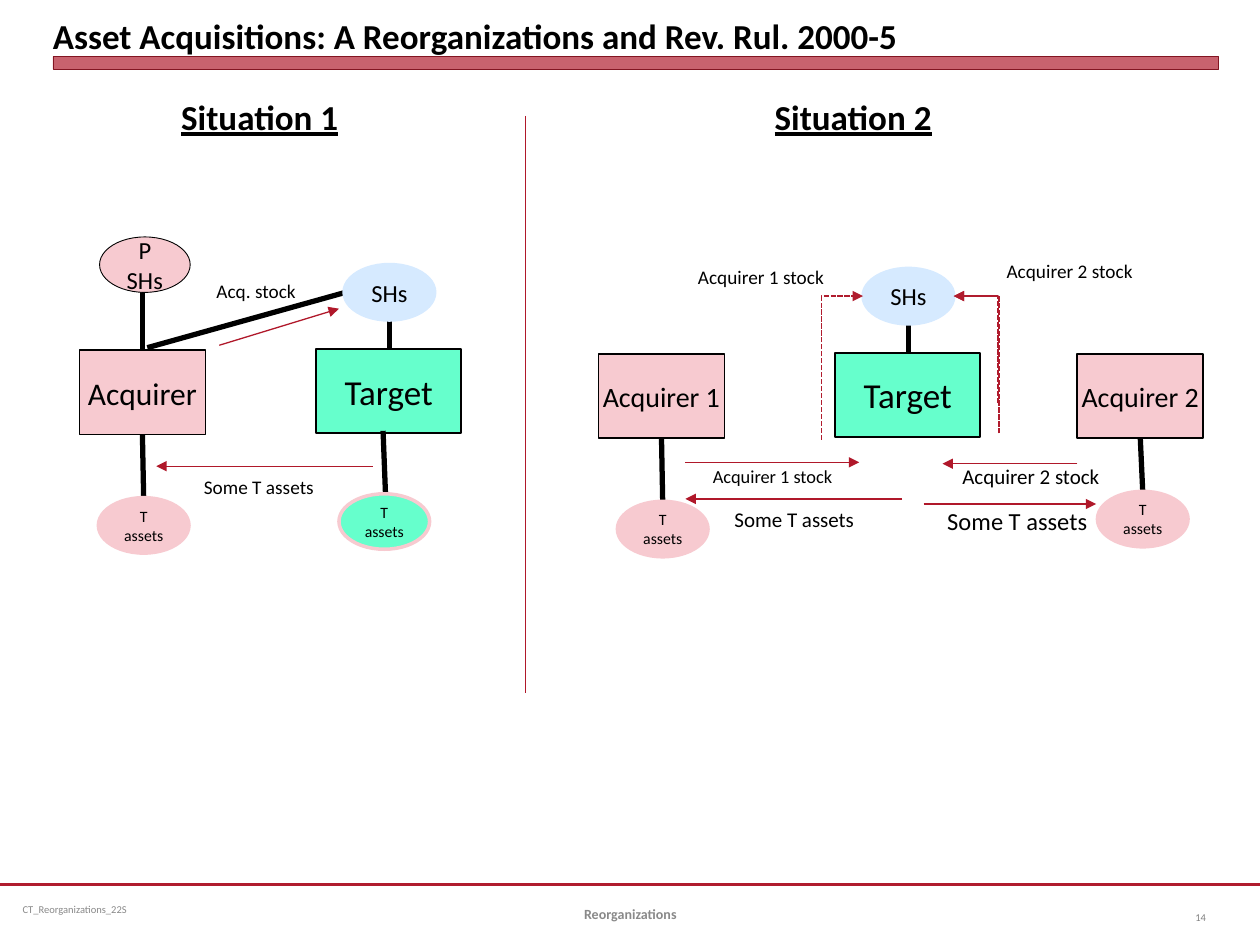
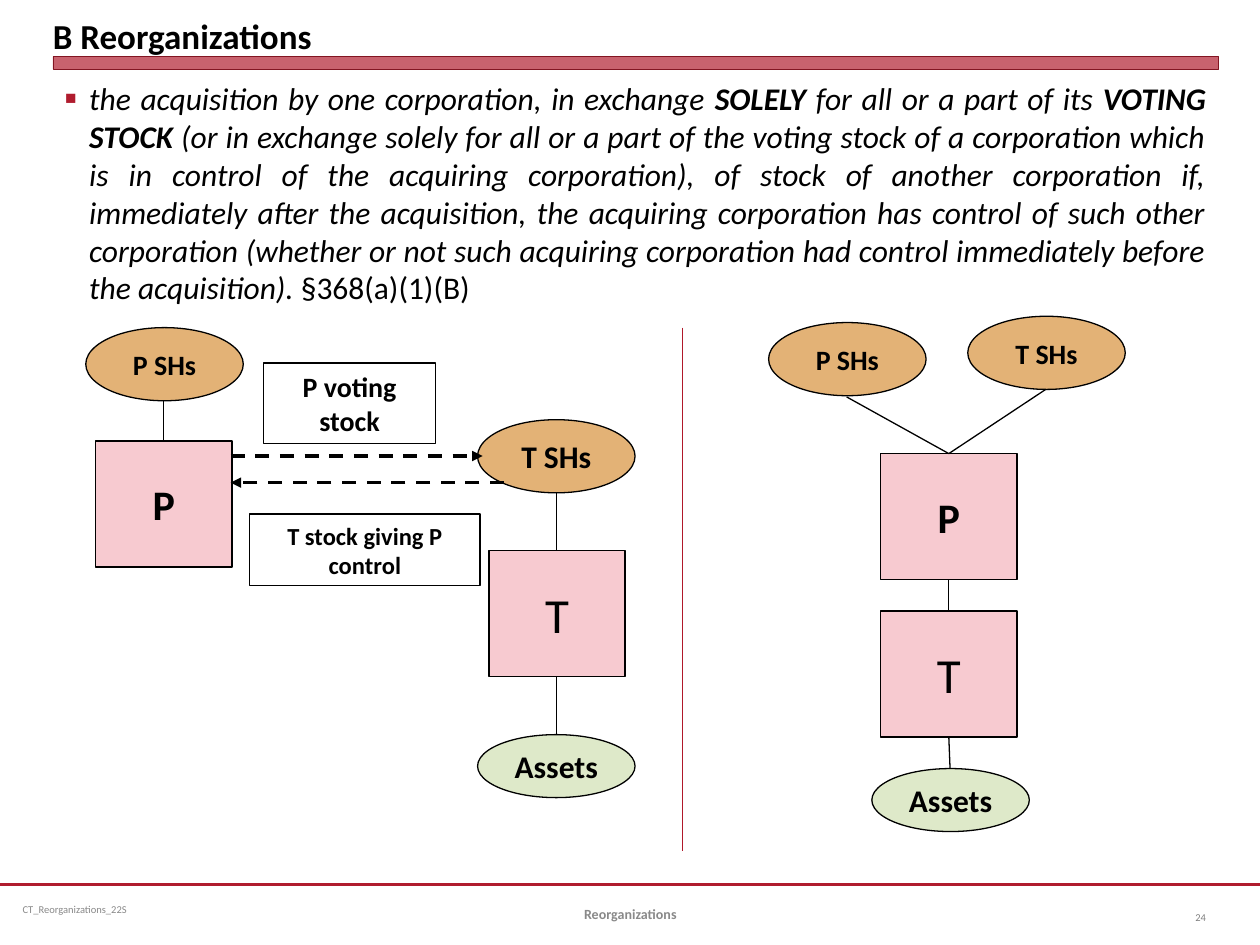
from dataclasses import dataclass

from lxml.etree import SubElement
from pptx import Presentation
from pptx.dml.color import RGBColor
from pptx.enum.dml import MSO_LINE
from pptx.enum.shapes import MSO_CONNECTOR, MSO_SHAPE
from pptx.enum.text import MSO_ANCHOR, PP_ALIGN
from pptx.oxml.ns import qn
from pptx.util import Pt

COLORS = {
    "black": "000000", "rule": "B01C2E", "arrow": "B0182A", "band_edge": "821522",
    "footer": "898989", "number": "808080", "pink": "F7CAD0", "mint": "66FFCC",
    "sky": "D6EAFF", "sand": "E3B276", "sage": "DEE9C9",
}
FONT = "Calibri"
RECT, OVAL = MSO_SHAPE.RECTANGLE, MSO_SHAPE.OVAL
OVAL_SIZE = (51.8, 31.7)      # ovals on the asset acquisition slide
HOLDER_SIZE = (90, 41.8)      # shareholder ovals on the B slide
CORP_SIZE = (77.8, 72)        # corporation squares on the B slide
ASSETS_SIZE = (90, 36)


def rgb(name):
    return RGBColor.from_string(COLORS[name])


def add_span(para, text, size, color="black", bold=False, italic=False, underline=False):
    span = para.add_run()
    span.text = text
    font = span.font
    font.name, font.size, font.color.rgb = FONT, Pt(size), rgb(color)
    font.bold, font.italic, font.underline = bold, italic, underline


def style_line(line, color, width, dash=None, arrow=False):
    line.color.rgb, line.width = rgb(color), Pt(width)
    if dash:
        line.dash_style = dash
    if arrow:
        SubElement(line._get_or_add_ln(), qn("a:tailEnd"), type="triangle")


@dataclass
class Panel:
    """A region of a page; everything in it is placed from its top left corner."""
    page: object
    left: float = 0
    top: float = 0

    def spot(self, x, y):
        return Pt(round(self.left + x, 2)), Pt(round(self.top + y, 2))

    def node(self, kind, at, size, text="", font_size=14, fill=None, edge="black",
             width=0.75, bold=False, wrap=False):
        shape = self.page.shapes.add_shape(kind, *self.spot(*at), *map(Pt, size))
        shape.shadow.inherit = False
        if fill:
            shape.fill.solid()
            shape.fill.fore_color.rgb = rgb(fill)
        else:
            shape.fill.background()
        style_line(shape.line, edge, width)
        frame = shape.text_frame
        frame.word_wrap, frame.vertical_anchor = wrap, MSO_ANCHOR.MIDDLE
        if text:
            para = frame.paragraphs[0]
            para.alignment = PP_ALIGN.CENTER
            add_span(para, text, font_size, bold=bold)
        return shape

    def label(self, at, size, text, font_size, align=PP_ALIGN.LEFT, anchor=MSO_ANCHOR.TOP,
              wrap=False, **look):
        box = self.page.shapes.add_textbox(*self.spot(*at), *map(Pt, size))
        frame = box.text_frame
        frame.word_wrap, frame.vertical_anchor = wrap, anchor
        para = frame.paragraphs[0]
        para.alignment = align
        if text:
            add_span(para, text, font_size, **look)
        return frame

    def link(self, start, end, color="black", width=0.75, dash=None, arrow=False):
        line = self.page.shapes.add_connector(
            MSO_CONNECTOR.STRAIGHT, *self.spot(*start), *self.spot(*end))
        SubElement(line._element.spPr, qn("a:effectLst"))
        style_line(line.line, color, width, dash, arrow)

    def arrow(self, start, end):
        self.link(start, end, "arrow", arrow=True)

    def stem(self, start, end):
        self.link(start, end, width=3)

    def bent_arrow(self, start, end):
        """Dashed arrow that runs vertically, then horizontally."""
        corner = (start[0], end[1])
        builder = self.page.shapes.build_freeform(*self.spot(*start), scale=1.0)
        builder.add_line_segments([self.spot(*corner), self.spot(*end)], close=False)
        shape = builder.convert_to_shape()
        shape.shadow.inherit = False
        shape.fill.background()
        style_line(shape.line, "rule", 1, MSO_LINE.SQUARE_DOT, arrow=True)


def add_page(deck, title, number):
    """Blank page with title, band, bottom rule and footers."""
    page = deck.slides.add_slide(deck.slide_layouts[6])
    frame = Panel(page)
    middle = MSO_ANCHOR.MIDDLE
    frame.link((0, 505.4), (720, 505.4), "rule", 1.25)
    frame.label((5.8, 505.4), (185.8, 28.8), "CT_Reorganizations_22S", 6,
                anchor=middle, wrap=True, color="footer")
    band = frame.node(RECT, (30.2, 32.4), (666, 7.2), fill="rule", edge="band_edge", width=0.25)
    tint = band._element.spPr.find(qn("a:solidFill"))[0]
    SubElement(tint, qn("a:alpha"), val="69000")
    heading = frame.label((30.2, 3.6), (666, 28.8), title, 20,
                          anchor=MSO_ANCHOR.BOTTOM, wrap=True, bold=True)
    heading.margin_left = heading.margin_right = heading.margin_top = heading.margin_bottom = 0
    frame.label((660.2, 509.8), (36, 28.8), number, 6, PP_ALIGN.RIGHT, middle, True,
                color="number")
    frame.label((246.2, 507.6), (228.2, 28.8), "Reorganizations", 8, PP_ALIGN.CENTER, middle,
                True, color="footer", bold=True)
    return page


# Parts of the asset acquisition slide

def add_asset_oval(panel, at, fill="pink"):
    panel.node(OVAL, at, OVAL_SIZE, "T assets", 9, fill, "pink", 2, wrap=True)


def add_acquirer(panel, x, y, name, font_size, oval=(10.8, 84.2)):
    """Acquirer box with the received assets hanging below."""
    dx, dy = oval
    panel.node(RECT, (x, y), (72, 48.2), name, font_size, "pink", width=1)
    panel.stem((x + 36, y + 48.2), (x + dx + OVAL_SIZE[0] / 2, y + dy))
    add_asset_oval(panel, (x + dx, y + dy))


def add_target(panel, x, y):
    """Target box below its shareholders."""
    center = x + OVAL_SIZE[0] / 2
    panel.stem((center, y + 30.2), (center, y + 48.2))
    panel.node(RECT, (x - 15.9, y + 48.2), (82.8, 48.2), "Target", 20, "mint", width=1)
    panel.node(OVAL, (x, y), OVAL_SIZE, "SHs", 14, "sky", "sky", 2, wrap=True)


def add_heading(panel, x, text):
    panel.label((x, 0), (105.1, 31.7), text, 20, bold=True, underline=True)


def add_situation_1(page, left, top):
    panel = Panel(page, left, top)
    add_heading(panel, 51.1, "Situation 1")
    # Ownership
    panel.stem((38.8, 147.6), (167.7, 111.6))
    panel.stem((36, 115.9), (36, 149.1))
    add_acquirer(panel, 0, 149.1, "Acquirer", 18)
    add_target(panel, 151.2, 100.1)
    panel.stem((173.5, 195.1), (174.9, 231.1))
    add_asset_oval(panel, (148.3, 231.1), "mint")
    panel.node(OVAL, (11.5, 84.3), OVAL_SIZE, "P SHs", 14, "pink", width=0.5, wrap=True)
    # Exchange
    panel.arrow((167.7, 215.3), (43.9, 215.3))
    panel.label((64, 216.7), (77.8, 20.9), "Some T assets", 11)
    panel.arrow((79.9, 146.2), (148.3, 125.3))
    panel.label((71.2, 105.1), (110.9, 20.9), "Acq. stock", 11, wrap=True)


def add_situation_2(page, left, top):
    panel = Panel(page, left, top)
    add_heading(panel, 93.6, "Situation 2")
    add_target(panel, 151.2, 102.3)
    add_acquirer(panel, 0, 151.2, "Acquirer 1", 16)
    add_acquirer(panel, 273.6, 151.2, "Acquirer 2", 16, oval=(11.5, 78.5))
    # Exchange of stock and assets with the target
    for start, end, y in ((173.5, 49.7, 234), (185.8, 284.4, 236.9),
                          (273.6, 196.6, 213.9), (49.7, 149, 213.1)):
        panel.arrow((start, y), (end, y))
    # Stock passed on to the shareholders
    for start, end_x in (((229, 196.6), 203), ((127.4, 200.2), 151.2), ((228.2, 179.3), 203)):
        panel.bent_arrow(start, (end_x, 118.1))
    for at, size, text, font_size in (
            ((70.6, 234.7), (84.2, 21.6), "Some T assets", 12),
            ((192.2, 234.7), (95, 24.5), "Some T assets", 14),
            ((58.3, 211), (84.2, 20.2), "Acquirer 1 stock", 10.5),
            ((200.9, 210.3), (93.6, 21.6), "Acquirer 2 stock", 12),
            ((49.7, 97.2), (87.1, 20.9), "Acquirer 1 stock", 11),
            ((226.1, 93.6), (87.1, 20.9), "Acquirer 2 stock", 11)):
        panel.label(at, size, text, font_size)


# Parts of the B reorganization slide

def add_holders(panel, at, text, font_size=16):
    panel.node(OVAL, at, HOLDER_SIZE, text, font_size, "sand", bold=True)


def add_corporation(panel, at, name):
    is_parent = name == "P"
    panel.node(RECT, at, CORP_SIZE, name, 24 if is_parent else 28, "pink", bold=is_parent)


def add_assets(panel, at):
    panel.node(OVAL, at, ASSETS_SIZE, "Assets", 18, "sage", bold=True)


def add_definition(page, left, top):
    frame = Panel(page, left, top).label((0, 0), (666, 457.9), "", 18, PP_ALIGN.JUSTIFY, wrap=True)
    para = frame.paragraphs[0]
    para.space_before = Pt(3.6)
    props = para._p.get_or_add_pPr()
    props.set("marL", str(Pt(13.68)))
    props.set("indent", str(-Pt(13.68)))
    SubElement(SubElement(props, qn("a:buClr")), qn("a:srgbClr"), val=COLORS["rule"])
    SubElement(props, qn("a:buSzPct"), val="60000")
    SubElement(props, qn("a:buFont"), typeface="Arial")
    SubElement(props, qn("a:buChar"), char="■")
    for text, bold, italic in (
            ("the acquisition by one corporation, in exchange ", False, True),
            ("SOLELY", True, True),
            (" for all or a part of its ", False, True),
            ("VOTING STOCK", True, True),
            (" (or in exchange solely for all or a part of the voting stock of a corporation "
             "which is in control of the acquiring corporation), of stock of another corporation "
             "if, immediately after the acquisition, the acquiring corporation has control of "
             "such other corporation (whether or not such acquiring corporation had control "
             "immediately before the acquisition). ", False, True),
            ("§368(a)(1)(B)", False, False)):
        add_span(para, text, 18, bold=bold, italic=italic)


def add_exchange(page, left, top):
    """P and T while stock is exchanged."""
    panel = Panel(page, left, top)
    add_corporation(panel, (5.7, 64.8), "P")
    add_holders(panel, (223.9, 52.6), "T SHs", 18)
    add_corporation(panel, (230.4, 127.4), "T")
    add_assets(panel, (223.9, 232.6))
    add_holders(panel, (0, 0), "P SHs")
    for x, start, end in ((44.6, 41.8, 64.8), (269.2, 94.4, 127.4), (269.2, 199.4, 232.6)):
        panel.link((x, start), (x, end))
    for start, end, y in ((82.8, 226.8, 73.4), (239, 82.8, 88.6)):
        panel.link((start, y), (end, y), width=2, dash=MSO_LINE.DASH, arrow=True)
    panel.node(RECT, (101.5, 20.2), (98.6, 46.1), "P voting stock", 16, bold=True, wrap=True)
    panel.node(RECT, (93.6, 106.6), (131.8, 41), "T stock giving P control", 14,
               bold=True, wrap=True)


def add_result(page, left, top):
    """P and T after the exchange."""
    panel = Panel(page, left, top)
    add_holders(panel, (0, 3.6), "P SHs")
    add_holders(panel, (113.8, 0), "T SHs")
    add_corporation(panel, (64.1, 78.5), "P")
    add_corporation(panel, (64.1, 168.5), "T")
    add_assets(panel, (59, 258.5))
    for start, end in (((44.6, 46.1), (103, 78.5)), ((158.4, 41.8), (103, 78.5)),
                       ((103, 150.5), (103, 168.5)), ((103, 240.5), (103.7, 258.5))):
        panel.link(start, end)


deck = Presentation()
deck.slide_width, deck.slide_height = Pt(720), Pt(540)

page = add_page(deck, "Asset Acquisitions: A Reorganizations and Rev. Rul. 2000-5", "14")
add_situation_1(page, 45.4, 51.1)
add_situation_2(page, 342, 51.1)
Panel(page).link((300.2, 66.2), (300.2, 396), "arrow")

page = add_page(deck, "B Reorganizations", "24")
add_definition(page, 30.2, 41.8)
add_exchange(page, 49, 187.2)
add_result(page, 439.2, 180.7)
Panel(page).link((390.2, 187.2), (390.2, 486), "arrow")

deck.save("out.pptx")
